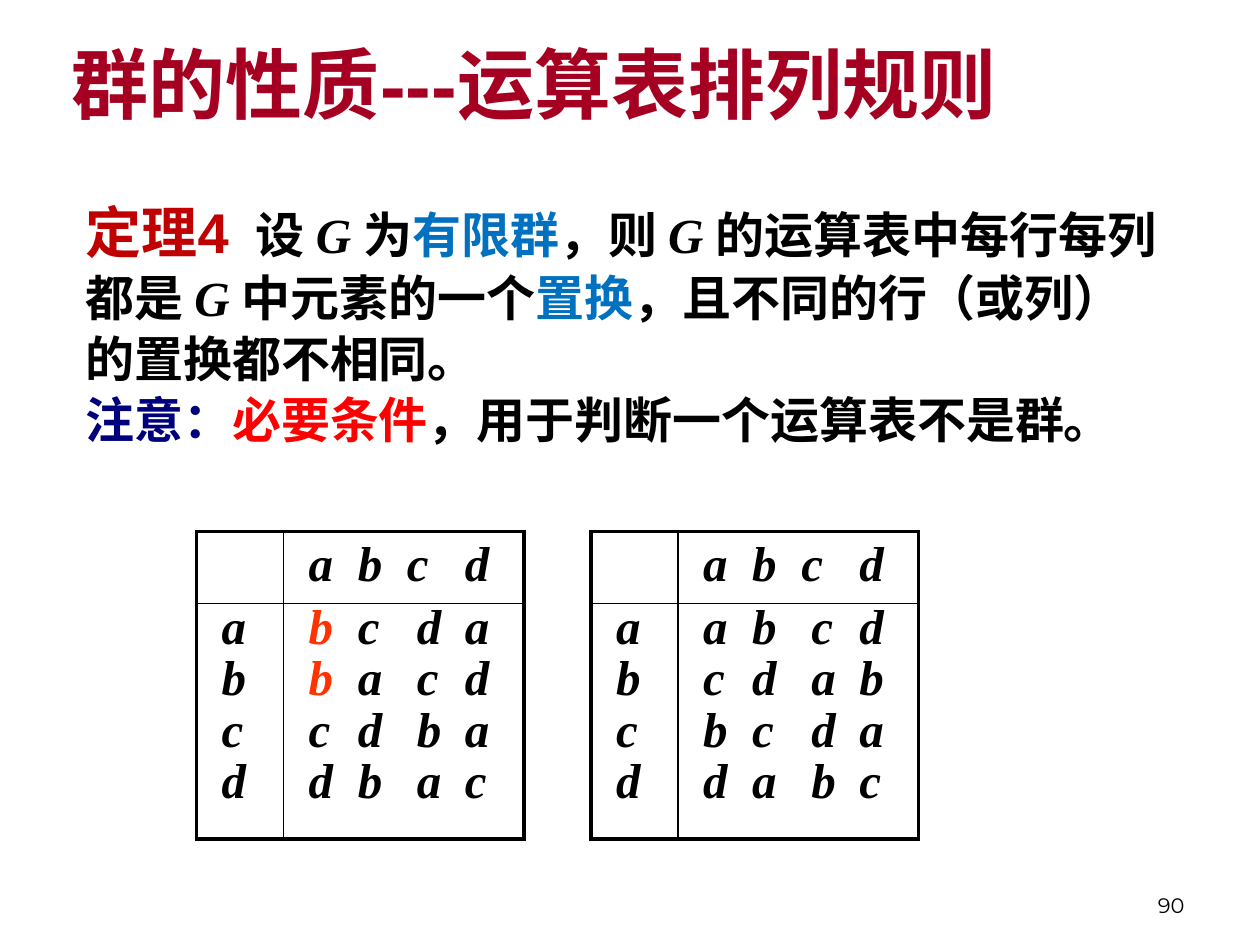
from lxml.etree import SubElement
from pptx import Presentation
from pptx.dml.color import RGBColor
from pptx.enum.lang import MSO_LANGUAGE_ID
from pptx.enum.text import MSO_ANCHOR, MSO_AUTO_SIZE, PP_ALIGN
from pptx.oxml.ns import qn
from pptx.util import Inches, Pt

BLACK = RGBColor(0x00, 0x00, 0x00)
CRIMSON = RGBColor(0xA5, 0x00, 0x21)
DARK_RED = RGBColor(0xC0, 0x00, 0x00)
BLUE = RGBColor(0x00, 0x70, 0xC0)
NAVY = RGBColor(0x00, 0x00, 0x7D)
RED = RGBColor(0xFF, 0x00, 0x00)
ORANGE = RGBColor(0xFF, 0x33, 0x00)

TITLE = {"name": "Arial", "size": Pt(44), "bold": True}
HEADING = {"name": "Arial", "size": Pt(32), "bold": True}
BODY = {"name": "Arial", "size": Pt(28), "bold": True, "italic": False}
SYMBOL = {"name": "Times New Roman", "size": Pt(28), "bold": True, "italic": True}
NUMBER = {"name": "Montserrat", "size": Pt(12)}

THEOREM = [
    [("定理4", HEADING, DARK_RED), ("  设 ", BODY, BLACK), ("G ", SYMBOL, BLACK),
     ("为", BODY, BLACK), ("有限群", BODY, BLUE), ("，则 ", BODY, BLACK),
     ("G ", SYMBOL, BLACK), ("的运算表中每行每列", BODY, BLACK)],
    [("都是 ", BODY, BLACK), ("G ", SYMBOL, BLACK), ("中元素的一个", BODY, BLACK),
     ("置换", BODY, BLUE), ("，且不同的行（或列）", BODY, BLACK)],
    [("的置换都不相同。", BODY, BLACK)],
    [("注意：", BODY, NAVY), ("必要条件", BODY, RED),
     ("，用于判断一个运算表不是群。", BODY, BLACK)],
]

ELEMENTS = "abcd"
HEADER_TABS = (0.39, 0.78, 1.24)
ROW_TABS = (0.39, 0.86, 1.24)


def apply_format(target, values):
    for name, value in values.items():
        setattr(target, name, value)


def add_spans(para, spans):
    for text, style, color in spans:
        span = para.add_run()
        span.text = text
        apply_format(span.font, {**style, "language_id": MSO_LANGUAGE_ID.SIMPLIFIED_CHINESE})
        span.font.color.rgb = color


def add_tabs(para, positions):
    tab_list = SubElement(para._p.get_or_add_pPr(), qn("a:tabLst"))
    for position in positions:
        SubElement(tab_list, qn("a:tab"), pos=str(Inches(position)), algn="l")


def write_paragraphs(frame, lines, layout, tabs=(), hanging=0):
    for index, spans in enumerate(lines):
        para = frame.add_paragraph() if index else frame.paragraphs[0]
        if hanging:
            properties = para._p.get_or_add_pPr()
            properties.set("marL", str(Inches(hanging)))
            properties.set("indent", str(-Inches(hanging)))
        if tabs:
            add_tabs(para, tabs)
        apply_format(para, layout)
        if index:
            para.space_before = Pt(4.6)
        add_spans(para, spans)


def add_title(page, text):
    title = page.shapes.title
    apply_format(title, {"left": Inches(0.47), "top": Inches(0.09),
                         "width": Inches(9), "height": Inches(1.14)})
    apply_format(title.text_frame, {"vertical_anchor": MSO_ANCHOR.MIDDLE, "word_wrap": True,
                                    "auto_size": MSO_AUTO_SIZE.NONE})
    write_paragraphs(title.text_frame, [[(text, TITLE, CRIMSON)]], {"alignment": PP_ALIGN.LEFT})


def add_text(page, place, lines, layout, anchor=MSO_ANCHOR.TOP, hanging=0):
    box = page.shapes.add_textbox(*map(Inches, place))
    apply_format(box.text_frame, {"word_wrap": True, "vertical_anchor": anchor})
    write_paragraphs(box.text_frame, lines, layout, hanging=hanging)


def set_borders(cell, row, column):
    widths = {"L": 1 if column else 2.25, "R": 2.25 if column else 1,
              "T": 1 if row else 2.25, "B": 2.25 if row else 1}
    properties = cell._tc.get_or_add_tcPr()
    for side, width in widths.items():
        line = SubElement(properties, qn(f"a:ln{side}"), w=str(Pt(width)))
        fill = SubElement(line, qn("a:solidFill"))
        SubElement(fill, qn("a:srgbClr"), val=str(BLACK))


def symbol_row(letters, marked):
    first_color = ORANGE if marked else BLACK
    return [(letters[0], SYMBOL, first_color), ("\t" + "\t".join(letters[1:]), SYMBOL, BLACK)]


def add_operation_table(page, left, rows, marked_rows=()):
    table = page.shapes.add_table(2, 2, Inches(left), Inches(4.22),
                                  Inches(2.6), Inches(2.44)).table
    for column, width in zip(table.columns, (0.69, 1.91)):
        column.width = Inches(width)
    for row, height in zip(table.rows, (0.57, 1.87)):
        row.height = Inches(height)
    for row in range(2):
        for column in range(2):
            cell = table.cell(row, column)
            set_borders(cell, row, column)
            cell.fill.background()
            cell.margin_left = Inches(0.2)
    compact = {"line_spacing": 0.8}
    labels = [[(letter, SYMBOL, BLACK)] for letter in ELEMENTS]
    results = [symbol_row(row, index in marked_rows) for index, row in enumerate(rows)]
    write_paragraphs(table.cell(0, 1).text_frame, [symbol_row(ELEMENTS, False)], {}, HEADER_TABS)
    write_paragraphs(table.cell(1, 0).text_frame, labels, compact)
    write_paragraphs(table.cell(1, 1).text_frame, results, compact, ROW_TABS)


def main():
    deck = Presentation()
    apply_format(deck, {"slide_width": Inches(10), "slide_height": Inches(7.5)})
    page = deck.slides.add_slide(deck.slide_layouts[5])
    add_title(page, "群的性质---运算表排列规则")
    add_text(page, (0.58, 1.58, 8.9, 2.28), THEOREM, {"line_spacing": 0.9}, hanging=0.38)
    add_operation_table(page, 1.56, ("bcda", "bacd", "cdba", "dbac"), (0, 1))
    add_operation_table(page, 4.69, ("abcd", "cdab", "bcda", "dabc"))
    add_text(page, (7.17, 6.83, 2.33, 0.5), [[("90", NUMBER, BLACK)]],
             {"alignment": PP_ALIGN.RIGHT}, MSO_ANCHOR.BOTTOM)
    deck.save("out.pptx")


if __name__ == "__main__":
    main()
